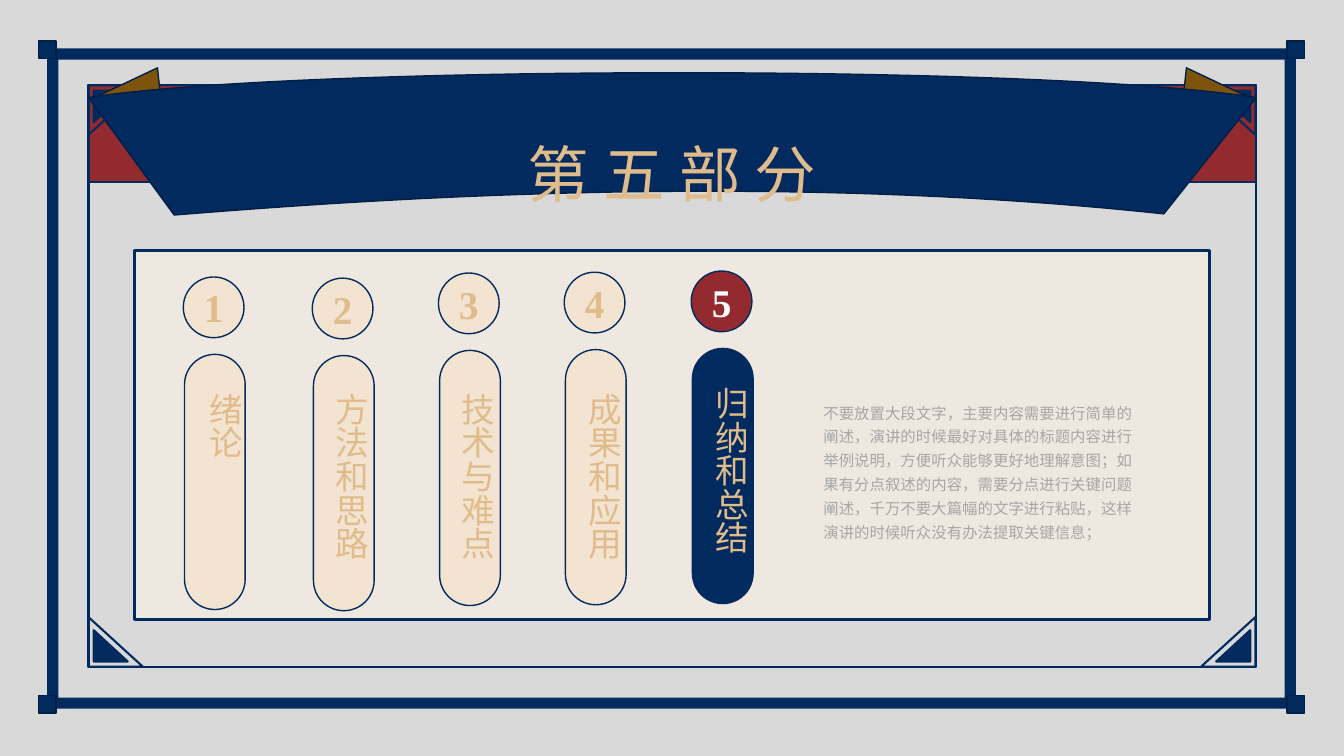
from pptx import Presentation
from pptx.dml.color import RGBColor
from pptx.enum.shapes import MSO_SHAPE
from pptx.enum.text import MSO_ANCHOR, MSO_AUTO_SIZE, PP_ALIGN
from pptx.oxml.ns import qn
from pptx.util import Cm, Pt

RECTANGLE, FRAME, OVAL = MSO_SHAPE.RECTANGLE, MSO_SHAPE.FRAME, MSO_SHAPE.OVAL
PILL, TRIANGLE = MSO_SHAPE.ROUNDED_RECTANGLE, MSO_SHAPE.RIGHT_TRIANGLE
TOP, MIDDLE = MSO_ANCHOR.TOP, MSO_ANCHOR.MIDDLE
LEFT, CENTER = PP_ALIGN.LEFT, PP_ALIGN.CENTER
NO_FIT = MSO_AUTO_SIZE.NONE

NAVY = RGBColor(0x01, 0x2A, 0x5E)
DARK_NAVY = RGBColor(0x01, 0x1F, 0x46)
RED = RGBColor(0x93, 0x2A, 0x2F)
BROWN = RGBColor(0x7E, 0x54, 0x0C)
GOLD = RGBColor(0xE0, 0xBB, 0x8B)
SAND = RGBColor(0xF3, 0xE4, 0xD1)
CREAM = RGBColor(0xEF, 0xE8, 0xE0)
LIGHT_GRAY = RGBColor(0xD9, 0xD9, 0xD9)
TEXT_GRAY = RGBColor(0xA6, 0xA6, 0xA6)
WHITE = RGBColor(0xFF, 0xFF, 0xFF)

CHINESE = "Noto Sans CJK SC"
NUMERALS = "Times New Roman"
PAGE_WIDTH, PAGE_HEIGHT = 33.87, 19.05

# number, heading, circle left and top, heading left and top (cm)
CHAPTERS = [
    ("1", "绪论", 4.62, 6.98, 4.75, 9.65),
    ("2", "方法和思路", 7.87, 7.01, 7.92, 9.65),
    ("3", "技术与难点", 11.05, 6.88, 11.1, 9.65),
    ("4", "成果和应用", 14.22, 6.86, 14.3, 9.65),
    ("5", "归纳和总结", 17.42, 6.83, 17.5, 9.5),
]
CURRENT_CHAPTER = "5"
SUMMARY = (
    "不要放置大段文字，主要内容需要进行简单的阐述，演讲的时候最好对具体的标题内容"
    "进行举例说明，方便听众能够更好地理解意图；如果有分点叙述的内容，需要分点进行"
    "关键问题阐述，千万不要大篇幅的文字进行粘贴，这样演讲的时候听众没有办法提取"
    "关键信息；"
)


def write(box, text, font=CHINESE, size=24, color=GOLD, bold=False, align=LEFT,
          anchor=TOP, leading=None, tracking=None):
    frame = box.text_frame
    frame.word_wrap = True
    frame.auto_size = NO_FIT
    frame.vertical_anchor = anchor
    para = frame.paragraphs[0]
    para.alignment = align
    if leading:
        para.line_spacing = Pt(leading)
    span = para.add_run()
    span.text = text
    span.font.name = font
    span.font.size = Pt(size)
    span.font.bold = bold
    span.font.color.rgb = color
    properties = span.font._element
    properties.makeelement(qn("a:ea"), {"typeface": font})
    latin = properties.find(qn("a:latin"))
    latin.addnext(properties.makeelement(qn("a:ea"), {"typeface": font}))
    if tracking:
        properties.set("spc", str(tracking * 100))


def bezier(start, control1, control2, end, steps=40):
    """Return the points after start along a cubic curve."""
    points = []
    for step in range(1, steps + 1):
        t = step / steps
        weights = ((1 - t) ** 3, 3 * t * (1 - t) ** 2, 3 * t * t * (1 - t), t ** 3)
        corners = (start, control1, control2, end)
        points.append(tuple(sum(w * c[axis] for w, c in zip(weights, corners))
                            for axis in (0, 1)))
    return points


class SlideBuilder:
    """Holds the page and the shared style of its elements."""

    def __init__(self, page):
        self.page = page
        self.shapes = page.shapes

    def paint(self, shape, fill, line, width):
        shape.shadow.inherit = False
        if fill is None:
            shape.fill.background()
        else:
            shape.fill.solid()
            shape.fill.fore_color.rgb = fill
        if line is None:
            shape.line.fill.background()
        else:
            shape.line.color.rgb = line
            shape.line.width = Pt(width)
        return shape

    def shape(self, kind, left, top, width, height, fill=None, line=NAVY,
              weight=1.0, adjust=None):
        shape = self.shapes.add_shape(kind, Cm(left), Cm(top), Cm(width), Cm(height))
        if adjust is not None:
            shape.adjustments[0] = adjust
        return self.paint(shape, fill, line, weight)

    def outline(self, points, fill):
        corners = [(Cm(x), Cm(y)) for x, y in points]
        builder = self.shapes.build_freeform(*corners[0])
        builder.add_line_segments(corners[1:], close=True)
        return self.paint(builder.convert_to_shape(), fill, DARK_NAVY, 1)

    def corner_triangle(self, inset, top, width, height, right, upper, fill=None):
        left = PAGE_WIDTH - inset - width if right else inset
        shape = self.shape(TRIANGLE, left, top, width, height, fill, weight=1.5)
        transform = shape._element.spPr.xfrm
        if right:
            transform.set("flipH", "1")
        if upper:
            transform.set("flipV", "1")

    def text(self, left, top, width, height, text, vertical=False, **style):
        box = self.shapes.add_textbox(Cm(left), Cm(top), Cm(width), Cm(height))
        write(box, text, **style)
        if vertical:
            box.text_frame._txBody.bodyPr.set("vert", "eaVert")

    def title(self, left, top, width, height, text, **style):
        box = self.shapes.title
        box.left, box.top, box.width, box.height = map(Cm, (left, top, width, height))
        write(box, text, **style)
        self.shapes._spTree.append(box._element)  # in front of the ribbon

    def chapter(self, number, heading, left, top, heading_left, heading_top):
        current = number == CURRENT_CHAPTER
        circle = self.shape(OVAL, left, top, 1.53, 1.53, RED if current else SAND)
        write(circle, number, font=NUMERALS, size=28, bold=True, align=CENTER,
              anchor=MIDDLE, color=WHITE if current else GOLD)
        self.shape(PILL, left + 0.03, top + 1.95, 1.53, 6.43,
                   NAVY if current else SAND, adjust=0.5)
        self.text(heading_left, heading_top, 1.55, 5.77, heading, vertical=True)


def draw_border(builder):
    builder.shape(FRAME, 1.19, 1.22, 31.47, 16.64, NAVY, None, adjust=0.017)
    for left in (0.97, 32.43):
        for top in (1.03, 17.53):
            builder.shape(RECTANGLE, left, top, 0.44, 0.44, NAVY, DARK_NAVY)
    builder.shape(RECTANGLE, 2.23, 2.15, 29.43, 14.66, weight=1.5)
    builder.shape(RECTANGLE, 2.23, 2.15, 29.43, 2.44, RED, weight=1.5)
    for upper, outer_top, inner_top in ((False, 15.55, 15.88), (True, 2.15, 2.29)):
        for right in (False, True):
            builder.corner_triangle(2.23, outer_top, 1.37, 1.25, right, upper)
            builder.corner_triangle(2.36, inner_top, 0.86, 0.79, right, upper, NAVY)


def draw_ribbon(builder):
    fold = [(2.28, 2.51), (3.97, 1.71), (4.1, 2.94)]
    builder.outline(fold, BROWN)
    builder.outline([(PAGE_WIDTH - x, y) for x, y in fold], BROWN)
    upper_left, lower_left = (2.23, 2.46), (4.39, 5.42)
    upper_right, lower_right = (31.66, 2.46), (29.33, 5.39)
    lower_edge = bezier(lower_left, (10.39, 4.93), (19.81, 4.37), lower_right)
    upper_edge = bezier(upper_right, (26.26, 1.6), (7.29, 1.65), upper_left)
    builder.outline([upper_left, lower_left, *lower_edge, upper_right,
                     *upper_edge[:-1]], NAVY)


def main():
    deck = Presentation()
    deck.slide_width, deck.slide_height = Cm(PAGE_WIDTH), Cm(PAGE_HEIGHT)
    page = deck.slides.add_slide(deck.slide_layouts[5])
    page.background.fill.solid()
    page.background.fill.fore_color.rgb = LIGHT_GRAY

    builder = SlideBuilder(page)
    draw_border(builder)
    draw_ribbon(builder)
    builder.title(6.35, 3.18, 21.18, 1.73, "第五部分", size=44, align=CENTER,
                  leading=56, tracking=10)
    builder.shape(RECTANGLE, 3.4, 6.32, 27.08, 9.3, CREAM, weight=2.25)
    for chapter in CHAPTERS:
        builder.chapter(*chapter)
    builder.text(20.5, 9.91, 8.61, 3.86, SUMMARY, size=11, color=TEXT_GRAY,
                 leading=17.1)
    deck.save("out.pptx")


if __name__ == "__main__":
    main()
